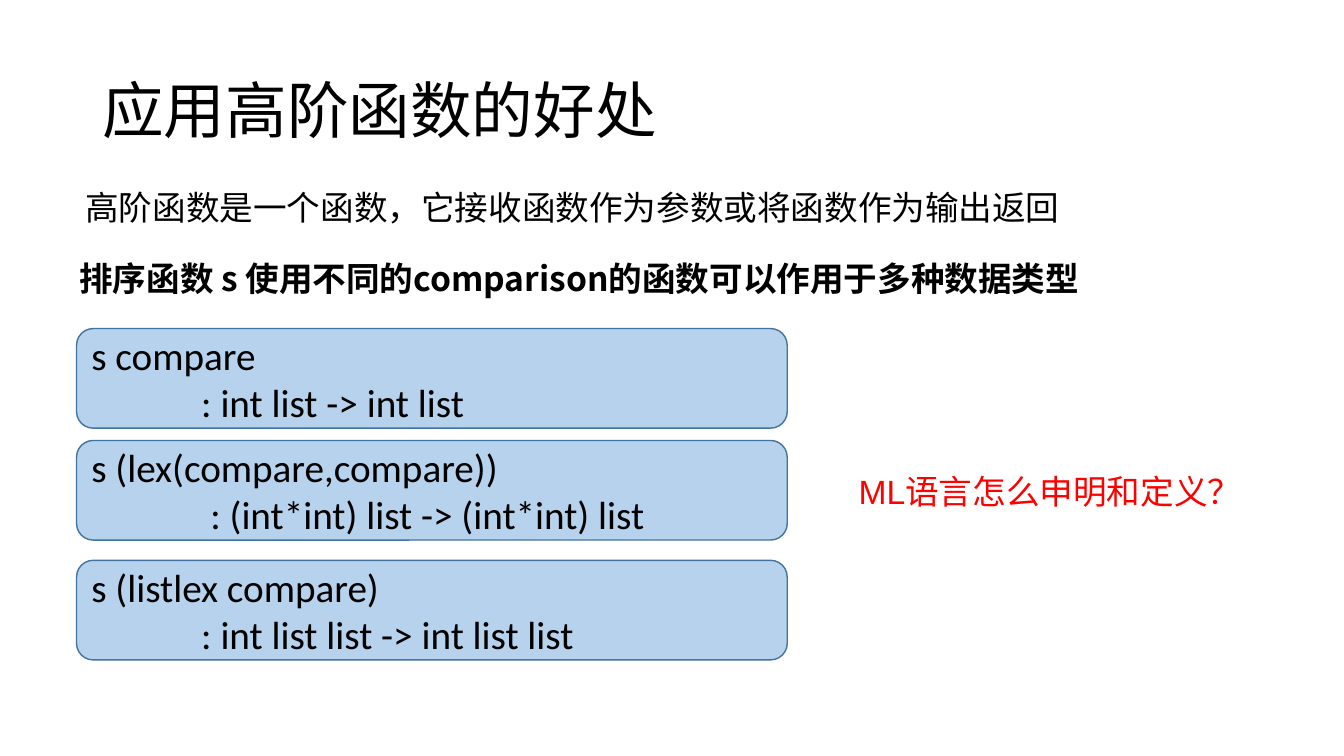
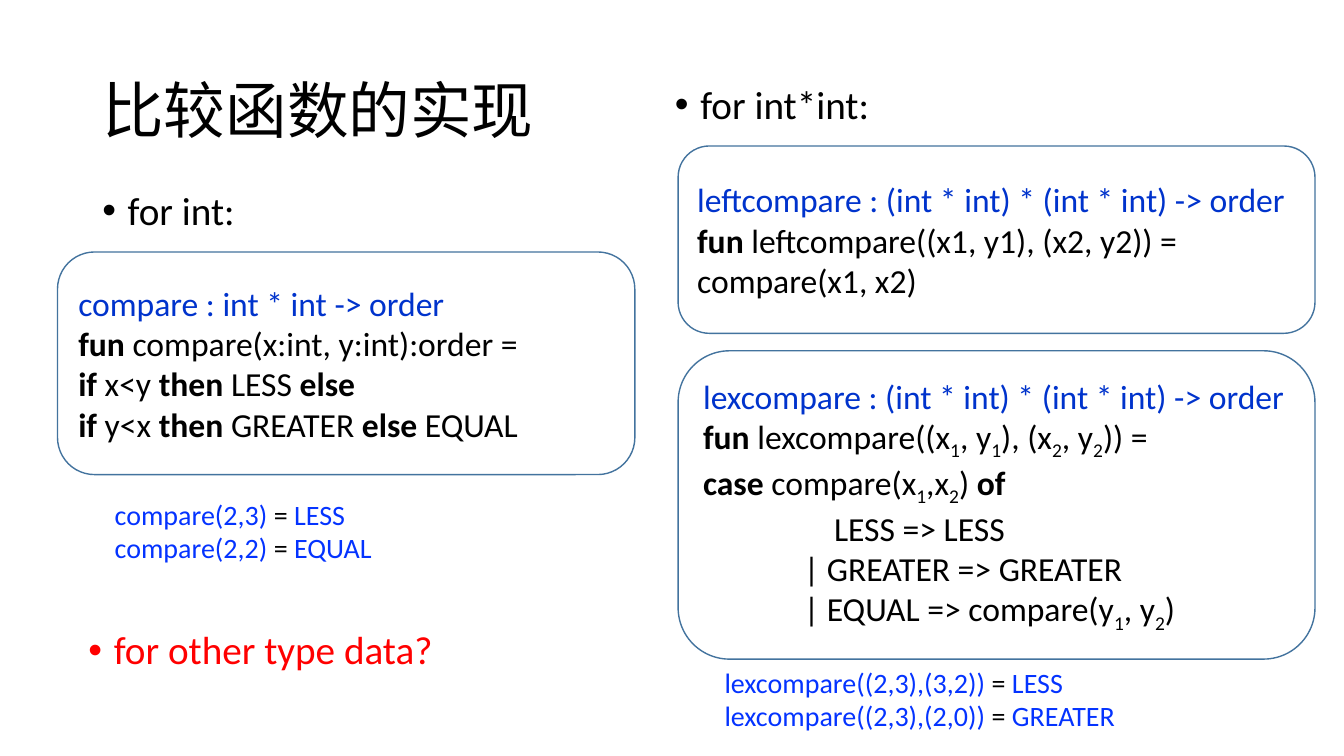
from lxml.etree import SubElement
from pptx import Presentation
from pptx.dml.color import RGBColor
from pptx.enum.shapes import MSO_SHAPE
from pptx.enum.text import MSO_ANCHOR, PP_ALIGN
from pptx.oxml.ns import qn
from pptx.util import Cm, Pt

# Shared look
BLACK, RED, NAVY, BLUE = "000000", "FF0000", "0033CC", "0433FF"
EDGE, PALE = "43739E", "B6D2EC"
LATIN, HAN = "Calibri", "Noto Sans CJK SC"
BASE = {"name": LATIN, "size": Pt(24), "bold": False}
TITLE = {"size": Pt(44)}
LARGE = {"size": Pt(28)}
SMALL = {"size": Pt(20)}
TITLE_AT = (2.33, 1.02, 29.21, 3.68)


def write(frame, lines, form, ink=BLACK, mark=BLACK, gap=None, lead=0, dot=False):
    """Fill a frame; a line is text or (text, ink, indent).

    Pieces between tildes are marked: digits are lowered, words on black
    lines turn bold, and words on coloured lines take the mark colour.
    """
    for num, line in enumerate(lines):
        text, hue, inset = (line, ink, 0) if isinstance(line, str) else line
        par = frame.paragraphs[0] if num == 0 else frame.add_paragraph()
        par.alignment = PP_ALIGN.LEFT
        par.space_before = Pt(lead)
        if gap:
            par.line_spacing = gap
        props = par._p.get_or_add_pPr()
        if inset:
            props.set("marL", str(Cm(inset)))
        if dot:
            props.set("marL", str(Cm(0.64)))
            props.set("indent", str(-Cm(0.64)))
            SubElement(props, qn("a:buFont"), typeface="Arial")
            SubElement(props, qn("a:buChar"), char="•")
        for pos, piece in enumerate(text.split("~")):
            if not piece:
                continue
            run = par.add_run()
            run.text = piece
            for key, val in {**BASE, **form}.items():
                setattr(run.font, key, val)
            tone = hue
            rpr = run._r.get_or_add_rPr()
            if pos % 2 and piece.isdigit():
                rpr.set("baseline", "-25000")
            elif pos % 2 and hue == BLACK:
                run.font.bold = True
            elif pos % 2:
                tone = mark
            run.font.color.rgb = RGBColor.from_string(tone)
            SubElement(rpr, qn("a:ea"), typeface=HAN)


def block(slide, at, lines, form, card=False, fill=None, mid=False, **more):
    """Place a text box, or a rounded card, and write its lines."""
    spot = [Cm(val) for val in at]
    if card:
        shape = slide.shapes.add_shape(MSO_SHAPE.ROUNDED_RECTANGLE, *spot)
        shape.shadow.inherit = False
        shape.line.color.rgb = RGBColor.from_string(EDGE)
        shape.line.width = Pt(1)
        if fill:
            shape.fill.solid()
            shape.fill.fore_color.rgb = RGBColor.from_string(fill)
        else:
            shape.fill.background()
    else:
        shape = slide.shapes.add_textbox(*spot)
    frame = shape.text_frame
    frame.word_wrap = True
    frame.vertical_anchor = MSO_ANCHOR.MIDDLE if card or mid else MSO_ANCHOR.TOP
    write(frame, lines, form, **more)


deck = Presentation()
deck.slide_width, deck.slide_height = Cm(33.87), Cm(19.05)
blank = deck.slide_layouts[6]

# Slides and titles
pages = []
for head in ("应用高阶函数的好处", "比较函数的实现"):
    page = deck.slides.add_slide(blank)
    block(page, TITLE_AT, [head], TITLE, mid=True, gap=0.9)
    pages.append(page)
gains, code = pages

# Slide 1: statements
block(gains, (1.9, 4.7, 31.9, 1.17),
      ["高阶函数是一个函数，它接收函数作为参数或将函数作为输出返回"],
      {}, gap=0.9, lead=5)
block(gains, (1.75, 5.87, 32, 1.8),
      ["排序函数 s 使用不同的comparison的函数可以作用于多种数据类型"],
      {"name": HAN, "bold": True}, gap=1.5)

# Slide 1: type cards
cards = [
    (8.28, "s compare", ": int list -> int list", 2.77),
    (11.1, "s (lex(compare,compare))", ": (int*int) list -> (int*int) list", 3),
    (14.12, "s (listlex compare)", ": int list list -> int list list", 2.77),
]
for top, call, kind, inset in cards:
    block(gains, (1.93, top, 17.91, 2.51), [call, (kind, BLACK, inset)],
          LARGE, card=True, fill=PALE)

# Slide 1: question
block(gains, (21.39, 11.73, 10.16, 1.27), ["ML语言怎么申明和定义？"],
      {"name": "Arial"}, ink=RED)

# Slide 2: bullets
bullets = [
    (2.33, 4.7, 7.16, "for int:", BLACK),
    (16.76, 2.03, 7.16, "for int*int:", BLACK),
    (1.98, 15.77, 11.63, "for other type data?", RED),
]
for left, top, wide, text, ink in bullets:
    block(code, (left, top, wide, 1.65), [text], LARGE,
          ink=ink, gap=0.9, lead=10, dot=True)

# Slide 2: code cards
lists = [
    ((1.45, 6.35, 14.55, 5.61), [
        ("compare : int * int -> order", NAVY, 0),
        "~fun~ compare(x:int, y:int):order =",
        "~if~ x<y ~then~ LESS ~else~",
        "~if~ y<x ~then~ GREATER ~else~ EQUAL",
    ]),
    ((17.09, 3.68, 16.05, 4.72), [
        ("leftcompare : (int * int) * (int * int) -> order", NAVY, 0),
        "~fun~ leftcompare((x1, y1), (x2, y2)) = compare(x1, x2)",
    ]),
    ((17.09, 8.84, 16.05, 7.77), [
        ("lexcompare : (int * int) * (int * int) -> order", NAVY, 0),
        "~fun~ lexcompare((x~1~, y~1~), (x~2~, y~2~)) =",
        "~case~ compare(x~1~,x~2~) ~of~",
        ("LESS => LESS", BLACK, 3.3),
        ("| GREATER => GREATER", BLACK, 2.54),
        ("| EQUAL => compare(y~1~, y~2~)", BLACK, 2.54),
    ]),
]
for at, lines in lists:
    block(code, at, lines, {}, card=True)

# Slide 2: sample results
block(code, (2.64, 12.4, 7.8, 1.96),
      ["compare(2,3) ~= ~LESS", "compare(2,2) ~= ~EQUAL"], SMALL, ink=BLUE)
block(code, (18.01, 16.64, 14.22, 1.96),
      ["lexcompare((2,3),(3,2)) ~= ~LESS", "lexcompare((2,3),(2,0)) ~= ~GREATER"],
      SMALL, ink=BLUE)

deck.save("out.pptx")
